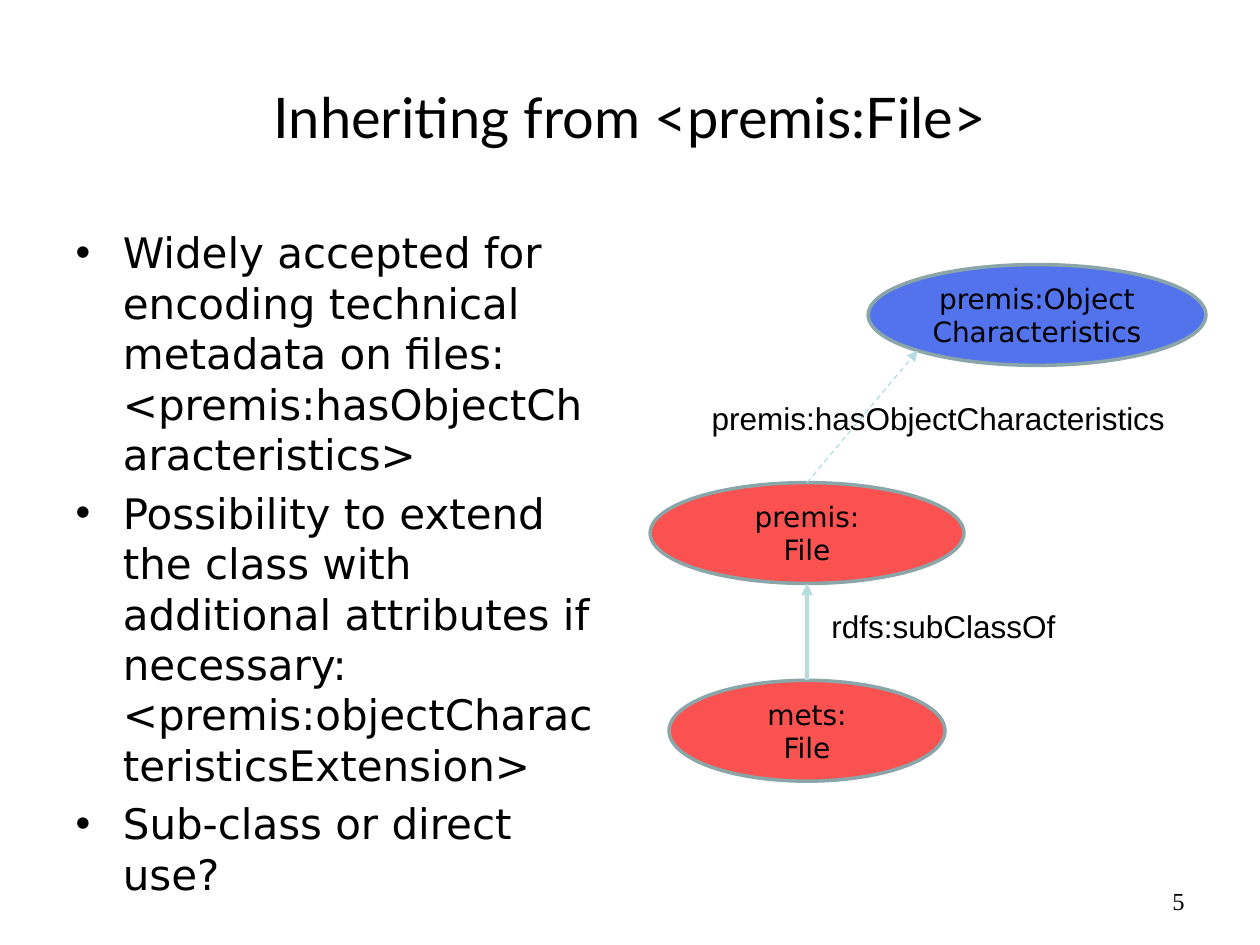
import math

import pptx
import pptx.dml.color
import pptx.enum.dml
import pptx.enum.shapes
import pptx.enum.text
import pptx.oxml
import pptx.oxml.ns
import pptx.util

Pt = pptx.util.Pt
ALIGN = pptx.enum.text.PP_ALIGN
ANCHOR = pptx.enum.text.MSO_ANCHOR

COLORS = {"text": "000000", "class": "FA5151", "object": "5273EB",
          "outline": "8AA6A8", "arrow": "B6DCDF"}

TITLE = "Inheriting from <premis:File>"
BULLETS = [
    "Widely accepted for encoding technical metadata on files: "
    "<premis:hasObjectCharacteristics>",
    "Possibility to extend the class with additional attributes if necessary: "
    "<premis:objectCharacteristicsExtension>",
    "Sub-class or direct use?",
]
OVAL_HEIGHT = 57.6
# name: (lines, left, top, width, fill)
OVALS = {
    "mets": (["mets:", "File"], 382.3, 388.8, 157.7, "class"),
    "premis": (["premis:", "File"], 371.5, 275.8, 179.3, "class"),
    "characteristics": (["premis:Object", "Characteristics"], 496.1, 151.2, 193, "object"),
}
# from, angle, to, angle (degrees clockwise from the right), width, dashed
ARROWS = [
    ("mets", 270, "premis", 90, 2.25, False),
    ("premis", 270, "characteristics", 135, 0.75, True),
]
# text, left, top, width, height, font, size, alignment, wrap
LABELS = [
    ("rdfs:subClassOf", 468, 343.4, 144.7, 28.8, "Arial", 18, ALIGN.LEFT, False),
    ("premis:hasObjectCharacteristics", 399.6, 224.6, 276.5, 28.8, "Arial", 18, ALIGN.LEFT, False),
    ("5", 614.9, 502.6, 69.1, 26.6, "Times New Roman", 14, ALIGN.RIGHT, True),
]


def color(name):
    """Return a named colour."""
    return pptx.dml.color.RGBColor.from_string(COLORS[name])


def place(box, left, top, width, height):
    """Move and size a box, in points."""
    box.left, box.top, box.width, box.height = map(Pt, (left, top, width, height))


def add_span(para, text, font, size):
    """Add one formatted run."""
    span = para.add_run()
    span.text = text
    span.font.name = font
    span.font.size = Pt(size)
    span.font.color.rgb = color("text")


def add_bullet(para, text):
    """Fill a paragraph as a list item with a hanging indent."""
    properties = para._p.get_or_add_pPr()
    properties.set("marL", str(Pt(27)))
    properties.set("indent", str(-Pt(27)))
    para.space_before = Pt(4.8)
    add_span(para, text, "DejaVu Sans", 24)


def add_oval(page, lines, left, top, width, fill):
    """Draw a class as an outlined ellipse with centred lines."""
    oval = page.shapes.add_shape(pptx.enum.shapes.MSO_SHAPE.OVAL, Pt(left), Pt(top),
                                 Pt(width), Pt(OVAL_HEIGHT))
    oval.shadow.inherit = False
    oval.fill.solid()
    oval.fill.fore_color.rgb = color(fill)
    oval.line.color.rgb = color("outline")
    oval.line.width = Pt(2)
    oval.text_frame.vertical_anchor = ANCHOR.MIDDLE
    para = oval.text_frame.paragraphs[0]
    para.alignment = ALIGN.CENTER
    for index, line in enumerate(lines):
        if index:
            para.add_line_break()
        add_span(para, line, "DejaVu Sans", 16)


def rim_point(name, angle):
    """Return the point at an angle on the rim of an oval."""
    lines, left, top, width, fill = OVALS[name]
    turn = math.radians(angle)
    return (Pt(left + width / 2 * (1 + math.cos(turn))),
            Pt(top + OVAL_HEIGHT / 2 * (1 + math.sin(turn))))


def add_arrow(page, source, source_angle, target, target_angle, width, dashed):
    """Draw an arrow between two ovals."""
    arrow = page.shapes.add_connector(
        pptx.enum.shapes.MSO_CONNECTOR.STRAIGHT,
        *rim_point(source, source_angle), *rim_point(target, target_angle))
    arrow.line.color.rgb = color("arrow")
    arrow.line.width = Pt(width)
    if dashed:
        arrow.line.dash_style = pptx.enum.dml.MSO_LINE.DASH
    namespace = pptx.oxml.ns.nsdecls("a")
    arrow.line._get_or_add_ln().append(
        pptx.oxml.parse_xml(f'<a:tailEnd {namespace} type="triangle"/>'))
    arrow._element.spPr.append(pptx.oxml.parse_xml(f"<a:effectLst {namespace}/>"))


def add_label(page, text, left, top, width, height, font, size, alignment, wrap):
    """Add a text box with one line."""
    box = page.shapes.add_textbox(Pt(left), Pt(top), Pt(width), Pt(height))
    box.text_frame.word_wrap = wrap
    para = box.text_frame.paragraphs[0]
    para.alignment = alignment
    add_span(para, text, font, size)


deck = pptx.Presentation()
deck.slide_width, deck.slide_height = Pt(720), Pt(540)
page = deck.slides.add_slide(deck.slide_layouts[1])

title = page.shapes.title
place(title, 36, 21.6, 648, 90)
title.text_frame.vertical_anchor = ANCHOR.MIDDLE
title.text_frame.paragraphs[0].alignment = ALIGN.CENTER
add_span(title.text_frame.paragraphs[0], TITLE, "Lato", 32)

body = page.placeholders[1]
place(body, 36, 126, 318.2, 370.8)
body.text_frame.auto_size = pptx.enum.text.MSO_AUTO_SIZE.NONE
for index, text in enumerate(BULLETS):
    frame = body.text_frame
    add_bullet(frame.add_paragraph() if index else frame.paragraphs[0], text)

for oval in OVALS.values():
    add_oval(page, *oval)
for label in LABELS:
    add_label(page, *label)
for arrow in ARROWS:
    add_arrow(page, *arrow)

deck.save("out.pptx")
